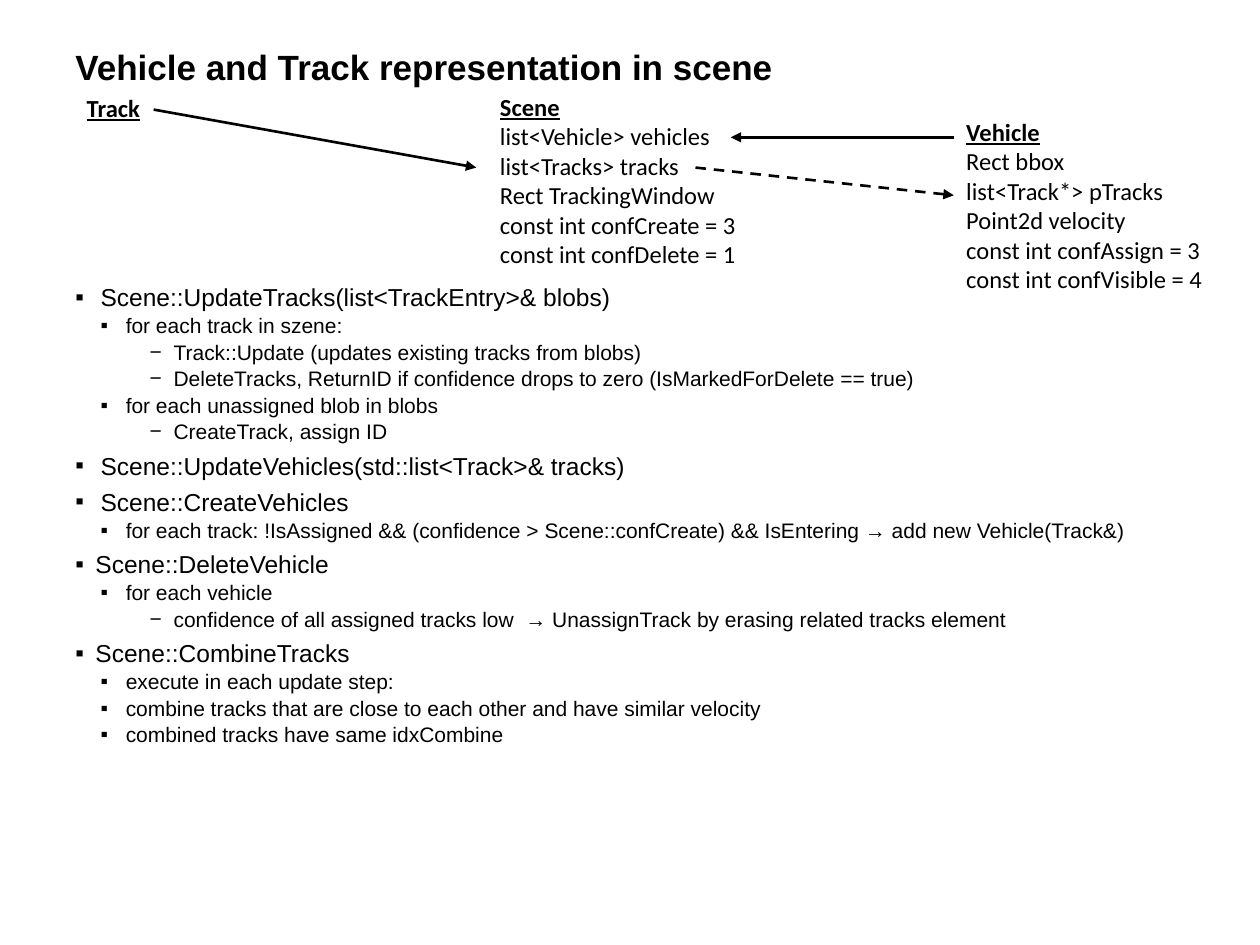
from pptx import Presentation
from pptx import util as u
from pptx.dml.color import RGBColor
from pptx.enum import dml, shapes, text
from pptx.oxml.ns import qn
from lxml import etree

THEME = dict(ink=RGBColor(0, 0, 0), head="Arial", label="Calibri",
             title=20, label_size=14, line=1.5, levels=(14, 12, 12))

TITLE = "Vehicle and Track representation in scene"
CLASSES = [
    ((3.87, 0.68, 2.87, 1.51), "Scene",
     ["list<Vehicle> vehicles", "list<Tracks> tracks",
      "Rect TrackingWindow\vconst int confCreate = 3", "const int confDelete = 1"]),
    ((7.57, 0.88, 2.08, 1.75), "Vehicle",
     ["Rect bbox", "list<Track*> pTracks ", "Point2d velocity",
      "const int confAssign = 3", "const int confVisible = 4"]),
    ((0.59, 0.69, 1.03, 0.34), "Track", []),
]
ARROWS = [
    ((5.52, 1.33), (7.57, 1.55), True),
    ((7.57, 1.09), (5.8, 1.09), False),
    ((1.22, 0.87), (3.78, 1.33), False),
]
STEPS = [
    (0, "Scene::UpdateTracks(list<TrackEntry>& blobs)"),
    (1, "for each track in szene:"),
    (2, "Track::Update (updates existing tracks from blobs)"),
    (2, "DeleteTracks, ReturnID if confidence drops to zero (IsMarkedForDelete == true)"),
    (1, "for each unassigned blob in blobs"),
    (2, "CreateTrack, assign ID"),
    (0, "Scene::UpdateVehicles(std::list<Track>& tracks)"),
    (0, "Scene::CreateVehicles"),
    (1, "for each track: !IsAssigned && (confidence > Scene::confCreate) && IsEntering → add new Vehicle(Track&)"),
    (0, "Scene::DeleteVehicle ", 0.16),
    (1, "for each vehicle"),
    (2, "confidence of all assigned tracks low  → UnassignTrack by erasing related tracks element"),
    (0, "Scene::CombineTracks", 0.16),
    (1, "execute in each update step:"),
    (1, "combine tracks that are close to each other and have similar velocity"),
    (1, "combined tracks have same idxCombine"),
]
LEVELS = [(0.2, 0.2, "▪", 3), (0.4, 0.2, "▪", 0), (0.78, 0.19, "−", 0)]

prs = Presentation()
prs.slide_width, prs.slide_height = u.Inches(10), u.Inches(7.5)
s = prs.slides.add_slide(prs.slide_layouts[6])


def add_box(at, anchor=text.MSO_ANCHOR.TOP):
    tf = s.shapes.add_textbox(*map(u.Inches, at)).text_frame
    tf.word_wrap = True
    tf.vertical_anchor = anchor
    return tf


def add_text(tf, words, name, size, **fmt):
    p = tf.paragraphs[0]
    if p.runs:
        p = tf.add_paragraph()
    p.text = words
    for r in p.runs:
        for key, value in dict(name=name, size=u.Pt(size), **fmt).items():
            setattr(r.font, key, value)
        r.font.color.rgb = THEME["ink"]
    return p


def add_bullet(p, level, left=None):
    margin, hang, char, before = LEVELS[level]
    margin = left or margin
    for key, value in dict(level=level, space_before=u.Pt(before), line_spacing=1.05).items():
        setattr(p, key, value)
    pr = p._p.get_or_add_pPr()
    pr.set("marL", str(u.Inches(margin)))
    pr.set("indent", str(-u.Inches(min(hang, margin))))
    etree.SubElement(pr, qn("a:buFont"), typeface=THEME["head"])
    etree.SubElement(pr, qn("a:buChar"), char=char)


def add_arrow(start, end, dashed):
    c = s.shapes.add_connector(shapes.MSO_CONNECTOR.STRAIGHT, *map(u.Inches, start + end))
    c.line.color.rgb = THEME["ink"]
    c.line.width = u.Pt(THEME["line"])
    if dashed:
        c.line.dash_style = dml.MSO_LINE.DASH
    etree.SubElement(c.line._get_or_add_ln(), qn("a:tailEnd"), type="triangle")
    etree.SubElement(c._element.spPr, qn("a:effectLst"))


add_text(add_box((0.5, 0.3, 9, 0.46), text.MSO_ANCHOR.MIDDLE),
         TITLE, THEME["head"], THEME["title"], bold=True)

for at, name, members in CLASSES:
    tf = add_box(at)
    add_text(tf, name, THEME["label"], THEME["label_size"], bold=True, underline=True)
    for member in members:
        add_text(tf, member, THEME["label"], THEME["label_size"])

tf = add_box((0.5, 2.18, 9, 5.32))
for level, words, *left in STEPS:
    p = add_text(tf, words, THEME["head"], THEME["levels"][level])
    add_bullet(p, level, *left)

for arrow in ARROWS:
    add_arrow(*arrow)

prs.save("out.pptx")
